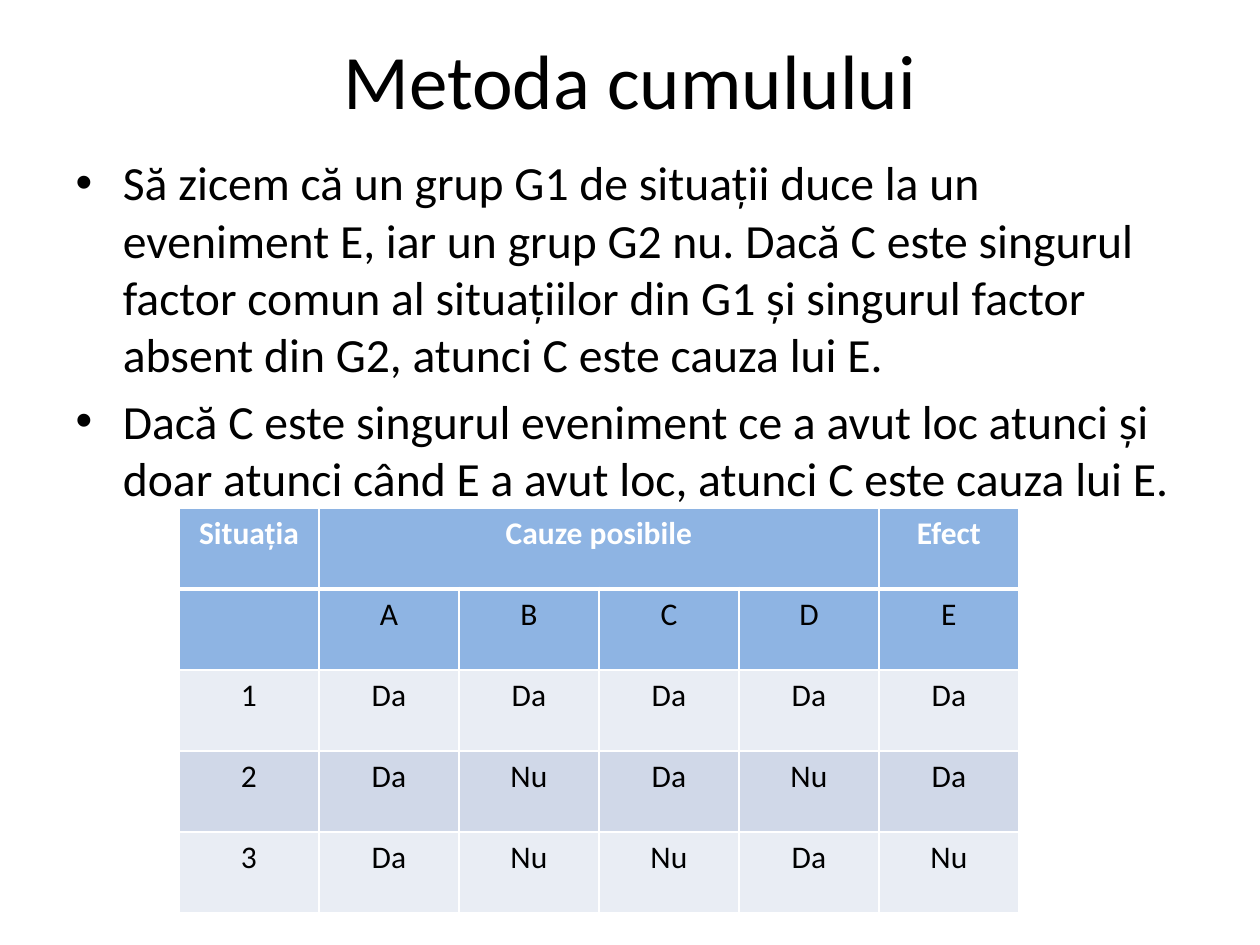
from lxml.etree import SubElement
from pptx import Presentation
from pptx.dml.color import RGBColor
from pptx.enum.text import MSO_ANCHOR, MSO_AUTO_SIZE, PP_ALIGN
from pptx.oxml.ns import qn
from pptx.util import Emu, Pt

PX = 914400 / 126
FONT = "Calibri"
BLACK, WHITE, HEADER = "000000", "FFFFFF", "8EB4E3"
BANDS = ["E9EDF4", "D0D8E8"]
COLUMN, ROW = 140, 81
POINTS = [
    "Să zicem că un grup G1 de situații duce la un eveniment E, iar un grup G2 nu. "
    "Dacă C este singurul factor comun al situațiilor din G1 și singurul factor absent "
    "din G2, atunci C este cauza lui E.",
    "Dacă C este singurul eveniment ce a avut loc atunci și doar atunci când E a avut loc, "
    "atunci C este cauza lui E.",
]
ROWS = [
    ["Situația", "Cauze posibile", "", "", "", "Efect"],
    ["", "A", "B", "C", "D", "E"],
    ["1", "Da", "Da", "Da", "Da", "Da"],
    ["2", "Da", "Nu", "Da", "Nu", "Da"],
    ["3", "Da", "Nu", "Nu", "Da", "Nu"],
]


def px(length):
    """Turn pixels into EMU."""
    return Emu(round(length * PX))


def colour(code):
    """Turn a hex string into a colour."""
    return RGBColor.from_string(code)


def style(para, size, code, bold=False):
    """Set the font of a whole paragraph."""
    font = para.font
    font.name, font.size, font.bold = FONT, Pt(size), bold
    font.color.rgb = colour(code)


def fill_placeholder(box, place, texts, size, anchor):
    """Move a placeholder and write its paragraphs."""
    box.left, box.top, box.width, box.height = map(px, place)
    frame = box.text_frame
    frame.text = "\n".join(texts)
    frame.word_wrap = True
    frame.auto_size = MSO_AUTO_SIZE.NONE
    frame.vertical_anchor = anchor
    for para in frame.paragraphs:
        style(para, size, BLACK)


def set_borders(cell, top, bottom):
    """Draw white borders with the given top and bottom widths."""
    props = cell._tc.get_or_add_tcPr()
    for side, width in zip("LRTB", (1, 1, top, bottom)):
        line = SubElement(props, qn(f"a:ln{side}"), w=str(Pt(width)))
        fill = SubElement(line, qn("a:solidFill"))
        SubElement(fill, qn("a:srgbClr"), val=WHITE)


def write_cell(cell, text, row):
    """Write and format one cell according to its row."""
    cell.text = text
    para = cell.text_frame.paragraphs[0]
    para.alignment = PP_ALIGN.CENTER
    style(para, 18, BLACK if row else WHITE, bold=row == 0)
    set_borders(cell, 3 if row == 1 else 1, 3 if row == 0 else 1)
    cell.fill.solid()
    cell.fill.fore_color.rgb = colour(HEADER if row < 2 else BANDS[row % 2])


def add_cause_table(page, left, top):
    """Add the table of possible causes and their effect."""
    count = len(ROWS[0])
    table = page.shapes.add_table(
        len(ROWS), count, px(left), px(top), px(COLUMN * count), px(ROW * len(ROWS))
    ).table
    for column in table.columns:
        column.width = px(COLUMN)
    for row, texts in enumerate(ROWS):
        table.rows[row].height = px(ROW)
        for column, text in enumerate(texts):
            write_cell(table.cell(row, column), text, row)
    table.cell(0, 1).merge(table.cell(0, 4))


def main():
    """Build and save the slide."""
    deck = Presentation()
    deck.slide_width, deck.slide_height = px(1260), px(945)
    page = deck.slides.add_slide(deck.slide_layouts[1])
    title, body = page.placeholders
    fill_placeholder(title, (63, 0, 1134, 158), ["Metoda cumulului"], 44, MSO_ANCHOR.MIDDLE)
    fill_placeholder(body, (63, 147, 1134, 305), POINTS, 27.2, MSO_ANCHOR.TOP)
    add_cause_table(page, 179, 508)
    deck.save("out.pptx")


if __name__ == "__main__":
    main()
